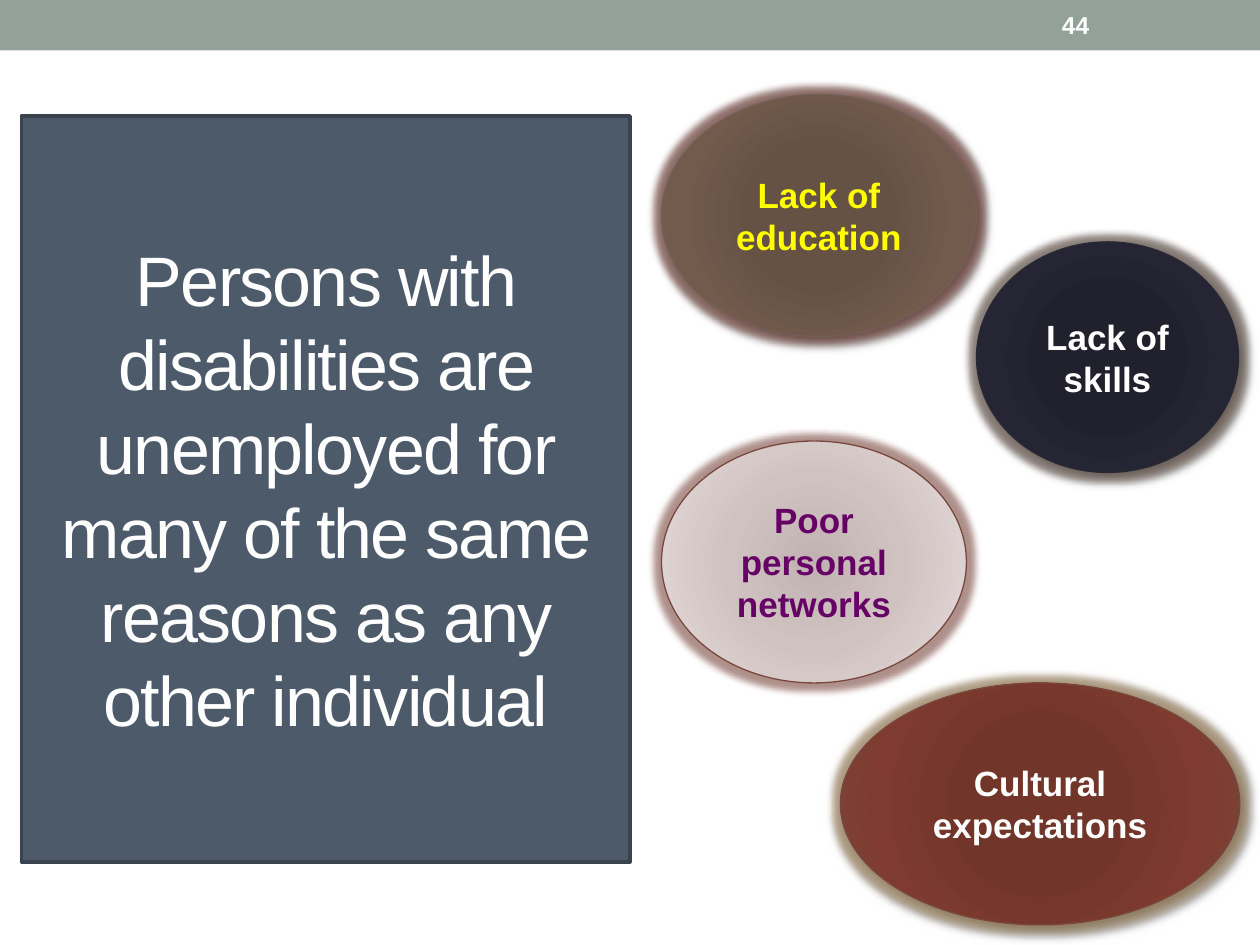
from dataclasses import dataclass

from lxml.etree import SubElement
from pptx import Presentation
from pptx.dml.color import RGBColor
from pptx.enum.shapes import MSO_SHAPE as Shape
from pptx.enum.text import MSO_ANCHOR as Anchor, MSO_AUTO_SIZE as AutoSize, PP_ALIGN as Align
from pptx.oxml import parse_xml
from pptx.oxml.ns import nsdecls, qn
from pptx.util import Inches, Pt

FONT = "Arial"
WHITE = "FFFFFF"


@dataclass
class Reason:
    text: str
    left: float
    top: float
    width: float
    height: float
    text_color: str
    line_color: str
    glow_color: str
    stops: dict[int, str]
    shadow: bool = True


REASONS = [
    Reason("Lack of skills", 7.75, 1.92, 2.08, 1.83, WHITE, "292934", "726056",
           {0: "21212F", 34: "21212E", 70: "252534", 100: "292934"}),
    Reason("Lack of education", 5.25, 0.75, 2.5, 1.92, "FFFF00", "726056", "79463D",
           {0: "685044", 34: "665145", 70: "725A4D", 100: "726056"}),
    Reason("Poor personal networks", 5.25, 3.5, 2.42, 1.92, "660066", "79463D", "79463D",
           {0: "C0B3B1", 45: "D0C2C0", 100: "E5DEDD"}, shadow=False),
    Reason("Cultural expectations", 6.67, 5.42, 3.17, 1.92, WHITE, "79463D", "AD8F67",
           {0: "743327", 34: "72352A", 70: "7F3B2F", 100: "79463D"}),
]


def rgb(color: str) -> RGBColor:
    return RGBColor.from_string(color)


def place(shape, left: float, top: float, width: float, height: float) -> None:
    shape.left, shape.top = Inches(left), Inches(top)
    shape.width, shape.height = Inches(width), Inches(height)


def write(shape, text: str, size: int, color: str, bold: bool, align=Align.CENTER):
    frame = shape.text_frame
    frame.word_wrap = True
    frame.auto_size = AutoSize.NONE
    frame.vertical_anchor = Anchor.MIDDLE
    para = frame.paragraphs[0]
    para.text = text
    para.alignment = align
    font = para.font
    font.name, font.size, font.bold = FONT, Pt(size), bold
    font.color.rgb = rgb(color)
    return para


def paint(shape, fill: str, line: str | None = None, width: float = 0.75) -> None:
    shape.fill.solid()
    shape.fill.fore_color.rgb = rgb(fill)
    if line is None:
        shape.line.fill.background()
    else:
        shape.line.color.rgb = rgb(line)
        shape.line.width = Pt(width)


def fill_radially(shape, stops: dict[int, str]) -> None:
    """Replace the fill with a gradient running outward from the centre."""
    shape.fill.background()
    stop_xml = "".join(
        f'<a:gs pos="{position * 1000}"><a:srgbClr val="{color}"/></a:gs>'
        for position, color in stops.items())
    gradient = parse_xml(
        f'<a:gradFill {nsdecls("a")} rotWithShape="1"><a:gsLst>{stop_xml}</a:gsLst>'
        '<a:path path="circle"><a:fillToRect l="100000" t="100000" r="100000" b="100000"/>'
        '</a:path></a:gradFill>')
    properties = shape.element.spPr
    properties.replace(properties.find(qn("a:noFill")), gradient)


def add_effect(effects, tag: str, color: str, opacity: int, **settings: str) -> None:
    effect = SubElement(effects, qn(tag), settings)
    tint = SubElement(effect, qn("a:srgbClr"), val=color)
    SubElement(tint, qn("a:alpha"), val=str(opacity * 1000))


def add_reason(page, reason: Reason) -> None:
    oval = page.shapes.add_shape(Shape.OVAL, 0, 0, 0, 0)
    place(oval, reason.left, reason.top, reason.width, reason.height)
    oval.line.color.rgb = rgb(reason.line_color)
    oval.line.width = Pt(0.75)
    fill_radially(oval, reason.stops)
    oval.shadow.inherit = False
    effects = oval.element.spPr.find(qn("a:effectLst"))
    add_effect(effects, "a:glow", reason.glow_color, 60, rad=str(Pt(8)))
    if reason.shadow:
        add_effect(effects, "a:outerShdw", "000000", 60, blurRad=str(Pt(3)),
                   dist=str(Pt(2)), dir=str(45 * 60000), rotWithShape="0")
    write(oval, reason.text, 20, reason.text_color, bold=True)


def add_header(page) -> None:
    band = page.shapes.add_shape(Shape.RECTANGLE, 0, 0, Inches(10), Inches(0.4))
    band.shadow.inherit = False
    paint(band, "93A299")
    number = page.shapes.add_textbox(0, 0, 0, 0)
    place(number, 8.33, 0.02, 1.17, 0.36)
    write(number, "44", 14, WHITE, bold=True, align=Align.LEFT)


def fill_title(page) -> None:
    title = page.shapes.title
    place(title, 0.17, 0.92, 4.83, 5.92)
    paint(title, "4C5A6A", "38434E", 2.08)
    para = write(title, "Persons with disabilities are unemployed for many of the same "
                 "reasons as any other individual", 40, WHITE, bold=False)
    para.runs[0].font.size = Pt(40)
    para.runs[0]._r.get_or_add_rPr().set("spc", "-100")


def main() -> None:
    deck = Presentation()
    deck.slide_width, deck.slide_height = Inches(10), Inches(7.5)
    page = deck.slides.add_slide(deck.slide_layouts[5])
    add_header(page)
    fill_title(page)
    for reason in REASONS:
        add_reason(page, reason)
    deck.save("out.pptx")


if __name__ == "__main__":
    main()
